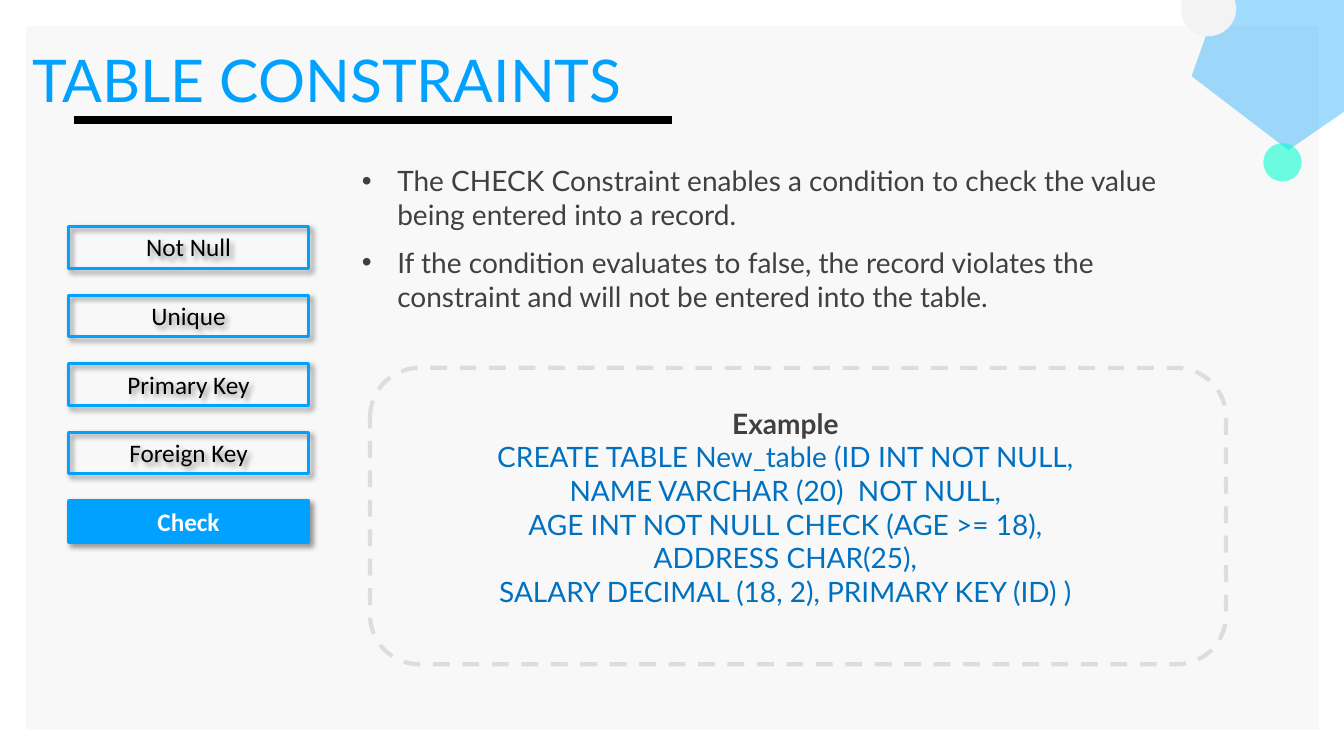
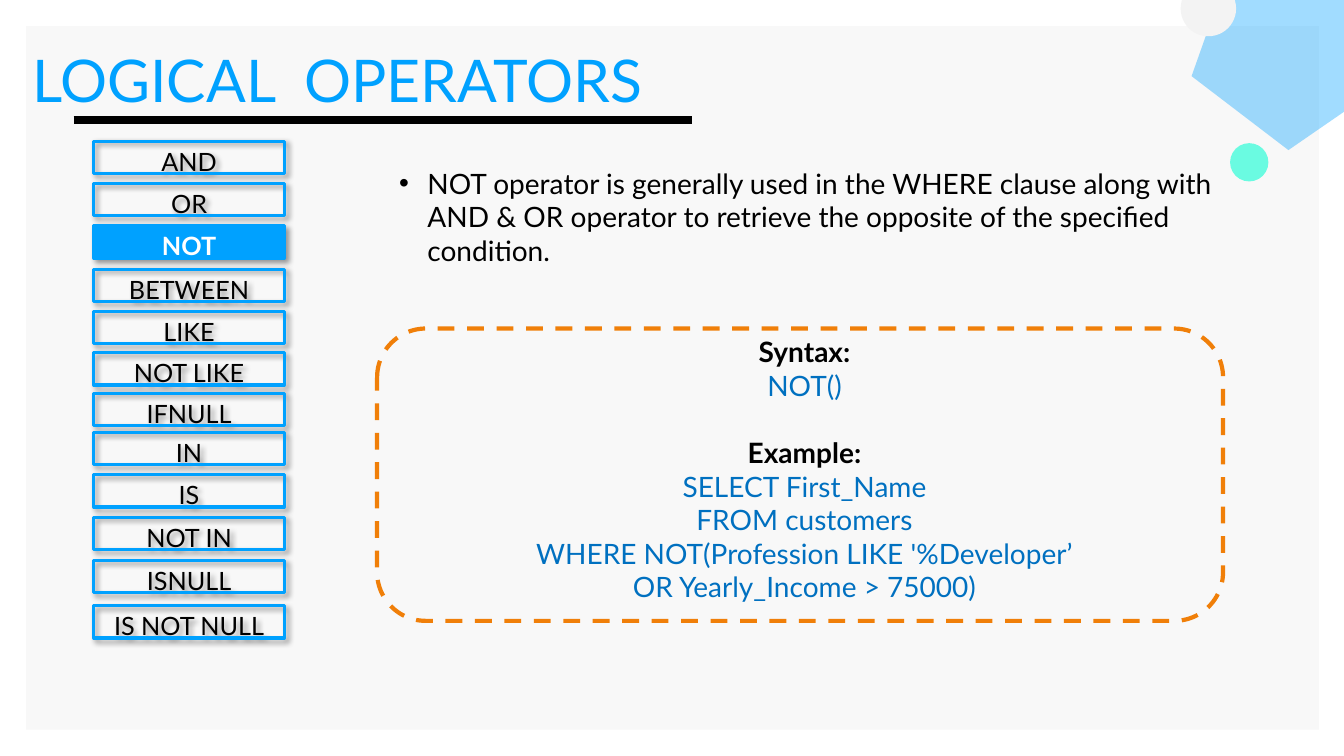
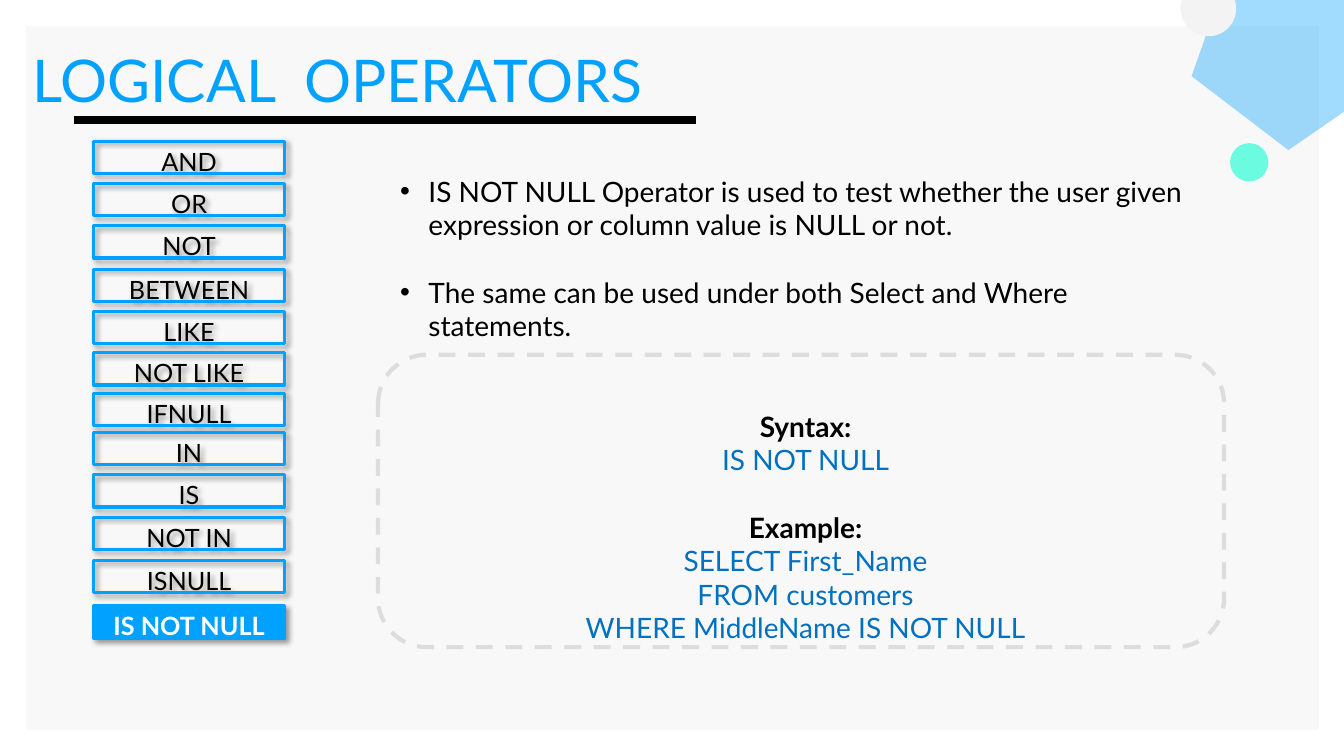
from dataclasses import dataclass

from lxml import etree
from pptx import Presentation
from pptx.dml import color
from pptx.enum import dml, shapes, text
from pptx.oxml import ns
from pptx.util import Inches, Pt

BLUE = color.RGBColor(0x00, 0xA1, 0xFF)
CODE_BLUE = color.RGBColor(0x00, 0x70, 0xC0)
MINT = color.RGBColor(0x00, 0xFF, 0xD0)
ORANGE = color.RGBColor(0xF0, 0x7F, 0x09)
PANEL = color.RGBColor(0xF8, 0xF8, 0xF8)
PALE = color.RGBColor(0xF3, 0xF3, 0xF3)
SILVER = color.RGBColor(0xDD, 0xDD, 0xDD)
CHARCOAL = color.RGBColor(0x40, 0x40, 0x40)
BLACK = color.RGBColor(0, 0, 0)
WHITE = color.RGBColor(255, 255, 255)

FONT = "Lato"
BODY_SIZE = 20
KIND = shapes.MSO_SHAPE


@dataclass(frozen=True)
class Area:
    left: float
    top: float
    width: float
    height: float

    def lengths(self) -> tuple:
        return tuple(map(Inches, (self.left, self.top, self.width, self.height)))


@dataclass(frozen=True)
class Menu:
    """Column of buttons, with one top for each label."""
    labels: tuple[str, ...]
    tops: tuple[float, ...]
    left: float
    width: float
    height: float
    font: str


@dataclass(frozen=True)
class Bullets:
    area: Area
    lines: tuple[str, ...]
    gap: float = 0
    spacing: float = 1
    indent: float = 0.31
    hanging: float = 0.28
    ink: color.RGBColor = BLACK


@dataclass(frozen=True)
class Code:
    """Headed groups of code lines inside a dashed frame."""
    frame: Area
    area: Area
    groups: tuple[tuple[str, tuple[str, ...]], ...]
    outline: color.RGBColor = SILVER
    heading_ink: color.RGBColor = BLACK


@dataclass(frozen=True)
class Topic:
    title: str
    rule_end: float
    dot_left: float
    menu: Menu
    selected: str
    bullets: Bullets
    code: Code


CONSTRAINTS = Menu(
    ("Not Null", "Unique", "Primary Key", "Foreign Key", "Check"),
    tuple(round(2.25 + 0.68 * row, 2) for row in range(5)),
    0.68, 2.38, 0.41, "Calibri")
OPERATORS = Menu(
    ("AND", "OR", "NOT", "BETWEEN", "LIKE", "NOT LIKE", "IFNULL", "IN", "IS",
     "NOT IN", "ISNULL", "IS NOT NULL"),
    (1.4, 1.82, 2.24, 2.67, 3.09, 3.5, 3.9, 4.29, 4.71, 5.13, 5.56, 6.01),
    0.93, 1.89, 0.32, FONT)

TOPICS = (
    Topic(
        "TABLE CONSTRAINTS", 6.67, 12.53, CONSTRAINTS, "Check",
        Bullets(
            Area(3.55, 1.62, 8.58, 1.6),
            ("The CHECK Constraint enables a condition to check the value being "
             "entered into a record.",
             "If the condition evaluates to false, the record violates the "
             "constraint and will not be entered into the table."),
            gap=9.8, spacing=1.01, indent=0.39, hanging=0.35, ink=CHARCOAL),
        Code(
            Area(3.67, 3.65, 8.49, 2.94), Area(3.5, 4.03, 8.58, 2),
            (("Example", (
                "CREATE TABLE New_table (ID INT NOT NULL,",
                "NAME VARCHAR (20)  NOT NULL,",
                "AGE INT NOT NULL CHECK (AGE >= 18),",
                "ADDRESS CHAR(25),",
                "SALARY DECIMAL (18, 2), PRIMARY KEY (ID) )")),),
            heading_ink=CHARCOAL)),
    Topic(
        "LOGICAL  OPERATORS", 6.86, 12.2, OPERATORS, "NOT",
        Bullets(
            Area(3.93, 1.65, 8.1, 1),
            ("NOT operator is generally used in the WHERE clause along with "
             "AND & OR operator to retrieve the opposite of the specified "
             "condition.",)),
        Code(
            Area(3.74, 3.26, 8.39, 2.9), Area(3.93, 3.32, 8.1, 2.67),
            (("Syntax:", ("NOT()",)),
             ("Example:", (
                 "SELECT First_Name",
                 "FROM customers",
                 "WHERE NOT(Profession LIKE '%Developer’",
                 "OR Yearly_Income > 75000)"))),
            outline=ORANGE)),
    Topic(
        "LOGICAL  OPERATORS", 6.9, 12.2, OPERATORS, "IS NOT NULL",
        Bullets(
            Area(3.94, 1.73, 8.1, 1.67),
            ("IS NOT NULL Operator is used to test whether the user given "
             "expression or column value is NULL or not.",
             "The same can be used under both Select and Where statements."),
            gap=24),
        Code(
            Area(3.75, 3.52, 8.39, 2.9), Area(3.94, 4.06, 8.1, 2.33),
            (("Syntax:", ("IS NOT NULL",)),
             ("Example:", (
                 "SELECT First_Name",
                 "FROM customers",
                 "WHERE MiddleName IS NOT NULL"))))),
)


def add_child(parent, tag: str, **attributes: str):
    return etree.SubElement(parent, ns.qn(tag), attributes)


def style_font(font, size: float, ink, name: str = FONT, bold: bool = False) -> None:
    font.name = name
    font.size = Pt(size)
    font.bold = bold
    font.color.rgb = ink


def add_figure(page, kind, area: Area, fill=None, opacity: int = 100,
               line=None, line_width: float = 0, rotation: float = 0):
    figure = page.shapes.add_shape(kind, *area.lengths())
    figure.rotation = rotation
    if fill is None:
        figure.fill.background()
    else:
        figure.fill.solid()
        figure.fill.fore_color.rgb = fill
        if opacity < 100:
            tint = figure.fill._xPr.find(".//" + ns.qn("a:srgbClr"))
            add_child(tint, "a:alpha", val=str(opacity * 1000))
    if line is None:
        figure.line.fill.background()
    else:
        figure.line.color.rgb = line
        figure.line.width = Pt(line_width)
    figure.shadow.inherit = False
    return figure


def add_text_box(page, area: Area):
    """Add a wrapping text box without insets and return its text frame."""
    frame = page.shapes.add_textbox(*area.lengths()).text_frame
    frame.word_wrap = True
    frame.margin_left = frame.margin_top = 0
    frame.margin_right = frame.margin_bottom = 0
    return frame


def fill_paragraphs(frame, lines):
    """Write each line in its own paragraph, yielding index and paragraph."""
    for index, line in enumerate(lines):
        para = frame.add_paragraph() if index else frame.paragraphs[0]
        para.add_run().text = line
        yield index, para


def draw_background(page, dot_left: float) -> None:
    add_figure(page, KIND.RECTANGLE, Area(0.26, 0.26, 12.82, 6.98), PANEL)
    add_figure(page, KIND.REGULAR_PENTAGON, Area(11.77, -0.55, 1.96, 1.86),
               BLUE, opacity=37, rotation=325.4)
    add_figure(page, KIND.OVAL, Area(dot_left, 1.42, 0.38, 0.38), MINT, opacity=57)
    add_figure(page, KIND.OVAL, Area(11.71, -0.19, 0.55, 0.55), PALE)


def draw_title(page, title: str, rule_end: float) -> None:
    frame = add_text_box(page, Area(0.32, 0.43, 11, 0.7))
    for _, para in fill_paragraphs(frame, [title]):
        style_font(para.font, 42, BLUE)
    rule = page.shapes.add_connector(
        shapes.MSO_CONNECTOR.STRAIGHT,
        Inches(0.73), Inches(1.19), Inches(rule_end), Inches(1.19))
    rule.line.color.rgb = BLACK
    rule.line.width = Pt(6)
    add_child(rule._element.spPr, "a:effectLst")


def cast_shadow(figure) -> None:
    effects = figure._element.spPr.find(ns.qn("a:effectLst"))
    shadow = add_child(effects, "a:outerShdw", blurRad=str(Pt(4)), dist=str(Pt(3)),
                       dir="2700000", algn="tl", rotWithShape="0")
    tint = add_child(shadow, "a:srgbClr", val=str(BLACK))
    add_child(tint, "a:alpha", val="40000")


def draw_menu(page, menu: Menu, selected: str) -> None:
    for label, top in zip(menu.labels, menu.tops):
        active = label == selected
        button = add_figure(
            page, KIND.RECTANGLE, Area(menu.left, top, menu.width, menu.height),
            BLUE if active else None, line=BLUE, line_width=2.25)
        cast_shadow(button)
        frame = button.text_frame
        frame.vertical_anchor = text.MSO_ANCHOR.TOP
        for _, para in fill_paragraphs(frame, [label]):
            para.alignment = text.PP_ALIGN.CENTER
            style_font(para.font, 18, WHITE if active else BLACK, menu.font, active)


def draw_bullets(page, bullets: Bullets) -> None:
    frame = add_text_box(page, bullets.area)
    for index, para in fill_paragraphs(frame, bullets.lines):
        para.line_spacing = bullets.spacing
        para.space_before = Pt(bullets.gap if index else 0)
        properties = para._p.get_or_add_pPr()
        properties.set("marL", str(Inches(bullets.indent)))
        properties.set("indent", str(-Inches(bullets.hanging)))
        tint = add_child(properties, "a:buClr")
        add_child(tint, "a:srgbClr", val=str(bullets.ink))
        add_child(properties, "a:buFont", typeface="Arial")
        add_child(properties, "a:buChar", char="•")
        style_font(para.font, BODY_SIZE, bullets.ink)


def draw_code(page, code: Code) -> None:
    outline = add_figure(page, KIND.ROUNDED_RECTANGLE, code.frame,
                         line=code.outline, line_width=3)
    outline.line.dash_style = dml.MSO_LINE.DASH
    headings = [heading for heading, _ in code.groups]
    lines = [line for heading, body in code.groups for line in (heading, *body)]
    frame = add_text_box(page, code.area)
    for index, para in fill_paragraphs(frame, lines):
        heading = lines[index] in headings
        para.alignment = text.PP_ALIGN.CENTER
        para.space_before = Pt(24 if heading and index else 0)
        style_font(para.font, BODY_SIZE,
                   code.heading_ink if heading else CODE_BLUE, bold=heading)


def main() -> None:
    deck = Presentation()
    deck.slide_width, deck.slide_height = Inches(13.33), Inches(7.5)
    for topic in TOPICS:
        page = deck.slides.add_slide(deck.slide_layouts[6])
        draw_background(page, topic.dot_left)
        draw_title(page, topic.title, topic.rule_end)
        draw_menu(page, topic.menu, topic.selected)
        draw_bullets(page, topic.bullets)
        draw_code(page, topic.code)
    deck.save("out.pptx")


if __name__ == "__main__":
    main()
